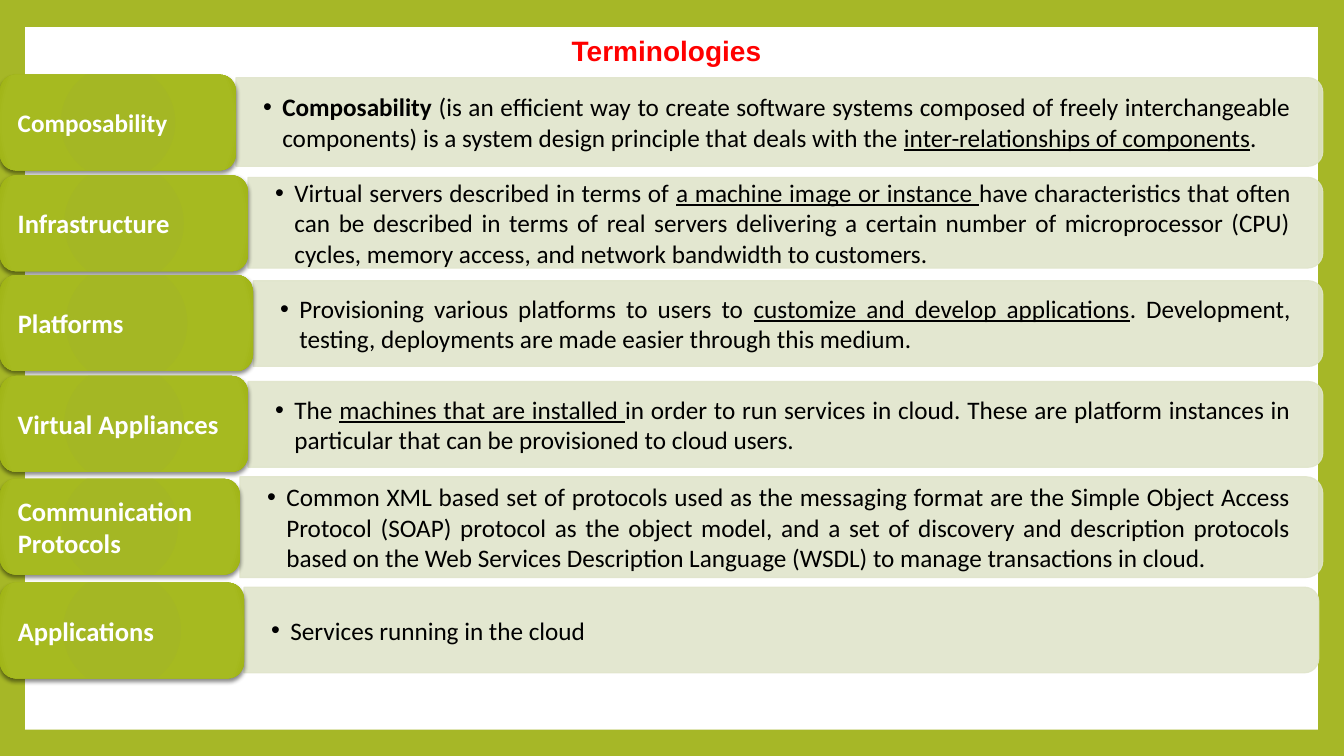
"""Build the cloud computing terminologies slide."""
from pptx import Presentation
from pptx.dml.color import RGBColor
from pptx.enum import shapes, text
from pptx.oxml import parse_xml
from pptx.oxml.ns import nsdecls, qn
from pptx.util import Inches, Pt

GREEN = RGBColor(0xA6, 0xB7, 0x27)
PALE = RGBColor(0xE0, 0xE5, 0xCB)
WHITE = RGBColor(0xFF, 0xFF, 0xFF)
BLACK = RGBColor(0, 0, 0)
RED = RGBColor(0xFF, 0, 0)

GRADIENT = f"""<a:gradFill {nsdecls('a')} rotWithShape="1"><a:gsLst>
<a:gs pos="0"><a:srgbClr val="A4B724"/></a:gs>
<a:gs pos="90000"><a:srgbClr val="A6BA20"/></a:gs>
<a:gs pos="100000"><a:srgbClr val="9DB212"/></a:gs></a:gsLst>
<a:path path="circle"><a:fillToRect l="50000" t="50000" r="50000" b="50000"/></a:path>
</a:gradFill>"""
SHADOW = f"""<a:outerShdw {nsdecls('a')} blurRad="38100" dist="25400" dir="5400000" rotWithShape="0">
<a:srgbClr val="000000"><a:alpha val="45000"/></a:srgbClr></a:outerShdw>"""
BULLET = [f'<a:buClr {nsdecls("a")}><a:srgbClr val="000000"/></a:buClr>',
          f'<a:buFont {nsdecls("a")} typeface="Arial"/>',
          f'<a:buChar {nsdecls("a")} char="•"/>']
ALPHA = f'<a:alpha {nsdecls("a")} val="90000"/>'

# label, size, label top, label width, panel centre, panel height, panel right, runs
ROWS = [
    ("Composability", 18, 0.74, 2.34, 1.21, 0.88, 13.12, [
        ("Composability", "b"),
        (" (is an efficient way to create software systems composed of freely "
         "interchangeable components) is a system design principle that deals with the ", ""),
        ("inter-relationships of components", "u"), (". ", "")]),
    ("Infrastructure", 19, 1.74, 2.46, 2.21, 0.9, 13.12, [
        ("Virtual servers described in terms of ", ""),
        ("a machine image or instance ", "u"),
        ("have characteristics that often can be described in terms of real servers "
         "delivering a certain number of microprocessor (CPU) cycles, memory access, "
         "and network bandwidth to customers.", "")]),
    ("Platforms", 19, 2.73, 2.51, 3.21, 0.85, 13.12, [
        ("Provisioning various platforms to users to ", ""),
        ("customize and develop applications", "u"),
        (". Development, testing, deployments are made easier through this medium.", "")]),
    ("Virtual Appliances", 19, 3.73, 2.46, 4.21, 0.85, 13.12, [
        ("The ", ""), ("machines that are installed ", "u"),
        ("in order to run services in cloud. These are platform instances in "
         "particular that can be provisioned to cloud users.", "")]),
    ("Communication Protocols", 19, 4.75, 2.38, 5.23, 1, 13.12, [
        ("Common XML based set of protocols used as the messaging format are the Simple "
         "Object Access Protocol (SOAP) protocol as the object model, and a set of "
         "discovery and description protocols based on the Web Services Description "
         "Language (WSDL) to manage transactions in cloud.", "")]),
    ("Applications", 19, 5.78, 2.42, 6.25, 0.85, 13.08, [
        ("Services running in the cloud", "")]),
]


def style(r, size, color, bold=False, name="Calibri"):
    r.font.size, r.font.name, r.font.bold = Pt(size), name, bold
    r.font.color.rgb = color


def set_frame(tf, x, y, anchor=text.MSO_ANCHOR.MIDDLE):
    tf.word_wrap = True
    tf.vertical_anchor = anchor
    tf.margin_left = tf.margin_right = Inches(x)
    tf.margin_top = tf.margin_bottom = Inches(y)


prs = Presentation()
prs.slide_width, prs.slide_height = Inches(13.33), Inches(7.5)
s = prs.slides.add_slide(prs.slide_layouts[5])
s.background.fill.solid()
s.background.fill.fore_color.rgb = GREEN

page = s.shapes.add_shape(shapes.MSO_SHAPE.RECTANGLE, Inches(0.25), Inches(0.27),
                          Inches(12.82), Inches(6.97))
page.fill.solid()
page.fill.fore_color.rgb = WHITE
page.line.fill.background()
page.shadow.inherit = False

for label, size, top, width, middle, height, right, runs in ROWS:
    length = right - width
    panel = s.shapes.add_shape(
        shapes.MSO_SHAPE.ROUND_2_SAME_RECTANGLE,
        Inches((width + right - height) / 2), Inches(middle - length / 2),
        Inches(height), Inches(length))
    panel.rotation = 90
    panel.adjustments[0] = 0.167
    panel.shadow.inherit = False
    panel.line.width = Pt(0.79)
    for fill in (panel.fill, panel.line.fill):
        fill.solid()
        fill.fore_color.rgb = PALE
    for clr in panel._element.spPr.iter(qn("a:srgbClr")):
        clr.append(parse_xml(ALPHA))

    body = s.shapes.add_textbox(Inches(width), Inches(middle - height / 2 + 0.05),
                                Inches(length - 0.05), Inches(height - 0.1))
    set_frame(body.text_frame, 0.27, 0.14)
    p = body.text_frame.paragraphs[0]
    p.level = 1
    p.alignment = text.PP_ALIGN.JUSTIFY
    pPr = p._p.get_or_add_pPr()
    pPr.set("marL", str(Inches(0.19)))
    pPr.set("indent", str(Inches(-0.19)))
    for bullet in BULLET:
        pPr.append(parse_xml(bullet))
    for words, mark in runs:
        r = p.add_run()
        r.text = words
        style(r, 18, BLACK, mark == "b")
        r.font.underline = mark == "u"

    tab = s.shapes.add_shape(shapes.MSO_SHAPE.ROUNDED_RECTANGLE, 0, Inches(top),
                             Inches(width), Inches(0.95))
    tab.adjustments[0] = 0.167
    tab.line.fill.background()
    tab.shadow.inherit = False
    spPr = tab._element.spPr
    spPr.find(qn("a:ln")).addprevious(parse_xml(GRADIENT))
    spPr.find(qn("a:effectLst")).append(parse_xml(SHADOW))
    set_frame(tab.text_frame, 0.13, 0.08)
    tab.text_frame.text = label
    p = tab.text_frame.paragraphs[0]
    p.alignment = text.PP_ALIGN.JUSTIFY
    style(p.runs[0], size, WHITE, True)

title = s.shapes.title
title.left, title.top = Inches(5.57), Inches(0.28)
title.width, title.height = Inches(3.79), Inches(0.44)
title.text_frame.text = "Terminologies"
set_frame(title.text_frame, 0.1, 0.05, text.MSO_ANCHOR.TOP)
p = title.text_frame.paragraphs[0]
p.alignment = text.PP_ALIGN.LEFT
style(p.runs[0], 20, RED, True, "Arial")
s.shapes._spTree.append(title._element)

prs.save("out.pptx")
